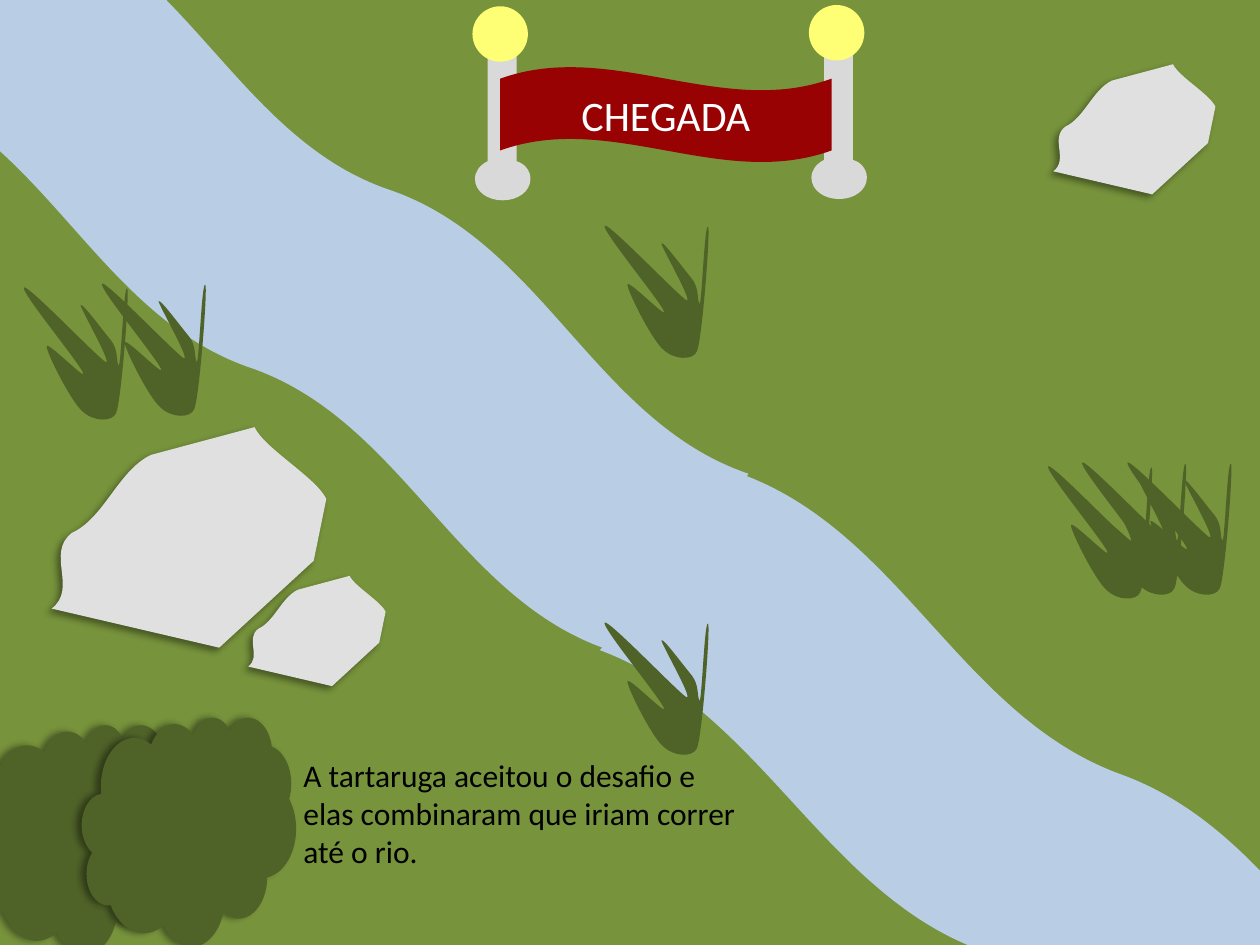
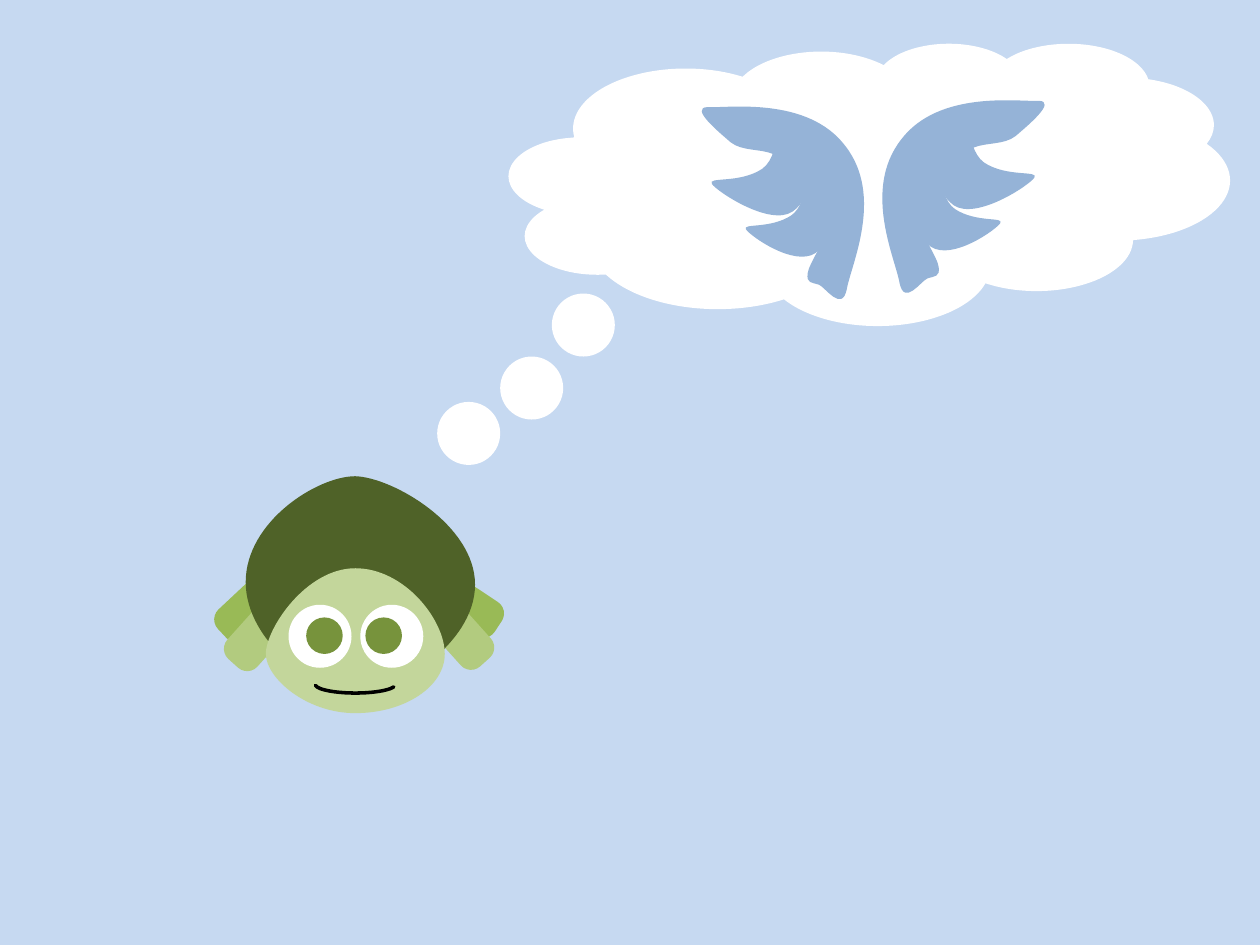
from lxml.etree import SubElement
from pptx import Presentation
from pptx.dml.color import RGBColor
from pptx.enum.shapes import MSO_SHAPE as SHAPE
from pptx.enum.text import MSO_ANCHOR as ANCHOR, MSO_AUTO_SIZE as AUTO_SIZE, PP_ALIGN as ALIGN
from pptx.oxml.ns import qn
from pptx.util import Inches, Pt

WIDTH, HEIGHT = Inches(10), Inches(7.5)
COLUMNS, ROWS = 10, 7.5
FONT = "Calibri"

MEADOW = RGBColor(0x77, 0x93, 0x3C)
WATER = RGBColor(0xB9, 0xCD, 0xE5)
LEAF = RGBColor(0x4F, 0x62, 0x28)
STONE = RGBColor(0xE0, 0xE0, 0xE0)
POST_GREY = RGBColor(0xD9, 0xD9, 0xD9)
LAMP_YELLOW = RGBColor(0xFF, 0xFF, 0x75)
BANNER_RED = RGBColor(0x98, 0x02, 0x02)
SKY = RGBColor(0xC6, 0xD9, 0xF1)
FEATHER = RGBColor(0x95, 0xB3, 0xD7)
UPPER_LIMB = RGBColor(0x99, 0xBA, 0x56)
LOWER_LIMB = RGBColor(0xB2, 0xCB, 0x7F)
SKIN = RGBColor(0xC3, 0xD6, 0x9B)
WHITE = RGBColor(0xFF, 0xFF, 0xFF)
BLACK = RGBColor(0, 0, 0)

# Outlines in grid units: M moves, L draws a line, C takes two handles and an end.
RIVER = """M 1.32,0 C 1.87,.56 2.32,1.25 3.1,1.51 4.31,1.93 4.73,3.35 5.94,3.76
    L 5.93,3.78 C 7.16,4.26 7.64,5.68 8.88,6.14 9.33,6.3 9.68,6.58 10,6.91
    L 10,7.5 7.68,7.5 C 6.5,7 6,5.62 4.76,5.16 L 4.78,5.14
    C 3.61,4.71 3.18,3.33 1.99,2.92 1.11,2.62 .65,1.79 0,1.2 L 0,0"""
POST = """M .12,.34 L .35,.34 .35,1.23 C .42,1.25 .46,1.31 .46,1.37
    .46,1.47 .36,1.54 .24,1.54 .12,1.54 .02,1.47 .02,1.37 .02,1.31 .06,1.26 .12,1.23"""
ROCK = """M 2.08,1.06 L 1.33,1.75 0,1.44 C .21,1.28 -.05,1 .16,.84
    .42,.72 .53,.34 .79,.22 L 1.61,0 C 1.69,.17 2.1,.4 2.18,.57"""
GRASS = """M .18,.47 C .18,.42 .5,.75 .47,.68 .44,.6 -.04,.02 0,0
    .04,-.01 .5,.47 .63,.58 .75,.69 .43,.14 .45,.14 .47,.13 .63,.35 .69,.42
    .75,.5 .73,.57 .75,.62 .77,.66 .79,-.02 .82,.01 .84,.04 .77,.93 .73,1
    .7,1.07 .55,1.07 .46,.98 .37,.9 .18,.52 .18,.47"""
SHELL = """M 1.95,4.62 C 1.95,4.14 2.52,3.78 2.82,3.78 3.12,3.79 3.77,4.17 3.77,4.64
    3.77,5.12 3.12,5.51 2.82,5.51 2.52,5.5 1.95,5.1 1.95,4.62"""
HEAD = """M 2.11,5.19 C 2.11,4.99 2.43,4.51 2.82,4.51 3.21,4.51 3.53,4.92 3.53,5.19
    3.53,5.45 3.21,5.66 2.82,5.66 2.43,5.66 2.11,5.38 2.11,5.19"""
# The left wing, measured from the midline between both wings.
WING = (
    """M -.55,.54 C -.62,.44 -.71,.41 -.8,.37 -.9,.33 -1.04,.35 -1.13,.28
    -1.21,.21 -1.47,0 -1.31,0 -1.16,.01 -.52,-.09 -.22,.31 .09,.71 -.18,1.26 -.21,1.45
    -.25,1.63 -.38,1.43 -.43,1.41 -.49,1.39 -.53,1.4 -.52,1.32
    -.51,1.24 -.38,1.07 -.38,.97 -.39,.87 -.48,.64 -.55,.54""",
    """M -1.28,.61 C -1.32,.55 -1.06,.61 -.88,.49 -.7,.36 -.8,-.09 -.63,.15
    -.45,.4 -.46,.7 -.64,.83 -.82,.95 -1.24,.67 -1.28,.61""",
    """M -1.01,.97 C -1.04,.92 -.82,.97 -.65,.86 -.49,.75 -.55,.36 -.41,.58
    -.27,.79 -.3,1.05 -.46,1.16 -.63,1.27 -.98,1.02 -1.01,.97""",
)
TAGS = {"M": ("a:moveTo", 1), "L": ("a:lnTo", 1), "C": ("a:cubicBezTo", 3)}


def col(n):
    return round(WIDTH * n / COLUMNS)


def row(n):
    return round(HEIGHT * n / ROWS)


def outline_steps(outline, origin, scale):
    """Return (command, points) steps in slide lengths."""
    steps, command, points = [], "M", []
    for word in outline.split():
        if word in TAGS:
            command = word
            continue
        x, y = map(float, word.split(","))
        points.append((col(origin[0] + x * scale[0]), row(origin[1] + y * scale[1])))
        if len(points) == TAGS[command][1]:
            steps.append((command, points))
            points = []
    return steps


def trace(steps, parts=12):
    """Return points that lie on the outline itself, which give its true bounds."""
    traced = []
    for command, points in steps:
        if command != "C":
            traced += points
            continue
        corners = [traced[-1], *points]
        for t in (i / parts for i in range(1, parts + 1)):
            weights = (1 - t) ** 3, 3 * t * (1 - t) ** 2, 3 * t * t * (1 - t), t ** 3
            traced.append(tuple(round(sum(w * p[axis] for w, p in zip(weights, corners)))
                                for axis in (0, 1)))
    return traced


class Scene:
    def __init__(self, deck):
        self.deck = deck

    def new_slide(self, background):
        self.slide = self.deck.slides.add_slide(self.deck.slide_layouts[6])
        fill = self.slide.background.fill
        fill.solid()
        fill.fore_color.rgb = background
        self.ungroup()

    def group(self):
        self.shapes = self.slide.shapes.add_group_shape().shapes

    def ungroup(self):
        self.shapes = self.slide.shapes

    def paint(self, shape, color):
        shape.shadow.inherit = False
        shape.fill.solid()
        shape.fill.fore_color.rgb = color
        shape.line.fill.background()
        return shape

    def preset(self, kind, x, y, w, h, color, turn=0, adjust=()):
        shape = self.shapes.add_shape(kind, col(x), row(y), col(w), row(h))
        shape.rotation = turn
        for i, value in enumerate(adjust):
            shape.adjustments[i] = value
        return self.paint(shape, color)

    def circle(self, x, y, size, color):
        return self.preset(SHAPE.OVAL, x, y, size, size, color)

    def outline(self, outline, color, origin=(0, 0), scale=(1, 1)):
        """Draw a freeform whose curves stay editable Bézier segments."""
        steps = outline_steps(outline, origin, scale)
        start, *others = trace(steps)
        builder = self.shapes.build_freeform(*start)
        builder.add_line_segments(others, close=True)
        shape = builder.convert_to_shape()
        curve = shape._element.find(".//" + qn("a:path"))
        for child in list(curve):
            curve.remove(child)
        for command, points in steps:
            segment = SubElement(curve, qn(TAGS[command][0]))
            for x, y in points:
                SubElement(segment, qn("a:pt"), x=str(x - shape.left), y=str(y - shape.top))
        SubElement(curve, qn("a:close"))
        return self.paint(shape, color)

    def cast_shadow(self, shape, angle):
        effects = shape._element.spPr.find(qn("a:effectLst"))
        shadow = SubElement(effects, qn("a:outerShdw"), blurRad=str(Pt(4)), dist=str(Pt(3)),
                            dir=str(angle * 60000), algn="ctr", rotWithShape="0")
        black = SubElement(shadow, qn("a:srgbClr"), val=str(BLACK))
        SubElement(black, qn("a:alpha"), val="40000")

    def add_words(self, frame, words, size, color, align=ALIGN.LEFT):
        frame.word_wrap = True
        paragraph = frame.paragraphs[0]
        paragraph.alignment = align
        run = paragraph.add_run()
        run.text = words
        run.font.name = FONT
        run.font.size = Pt(size)
        run.font.color.rgb = color

    def text(self, x, y, w, h, words, size, color):
        frame = self.shapes.add_textbox(col(x), row(y), col(w), row(h)).text_frame
        self.add_words(frame, words, size, color)
        frame.auto_size = AUTO_SIZE.SHAPE_TO_FIT_TEXT


def draw_finish_line(scene):
    scene.group()
    for x, y in ((6.42, .04), (3.75, .05)):
        scene.outline(POST, POST_GREY, (x, y))
        scene.circle(x, y, .44, LAMP_YELLOW)
    banner = scene.preset(SHAPE.WAVE, 3.97, .53, 2.63, .76, BANNER_RED)
    banner.text_frame.vertical_anchor = ANCHOR.MIDDLE
    scene.add_words(banner.text_frame, "CHEGADA", 24, WHITE, ALIGN.CENTER)
    scene.ungroup()


def draw_race(scene):
    scene.new_slide(MEADOW)
    scene.outline(RIVER, WATER)
    draw_finish_line(scene)
    for x, y, size in ((.41, 3.39, 1), (1.97, 4.57, .5), (8.36, .51, .59)):
        rock = scene.outline(ROCK, STONE, (x, y), (size, size))
        scene.cast_shadow(rock, 135)
    for x, y in ((-.2, 5.75), (.65, 5.69)):
        bush = scene.preset(SHAPE.CLOUD, x, y, 1.7, 1.82, LEAF)
        scene.cast_shadow(bush, 180)
    for tuft in ((8.59, 3.67), (8.32, 3.7), (8.95, 3.67), (.19, 2.28),
                 (.81, 2.25), (4.8, 4.94), (4.8, 1.79)):
        scene.outline(GRASS, LEAF, tuft)
    scene.text(2.31, 5.95, 3.7, 1.31,
               "A tartaruga aceitou o desafio e elas combinaram que iriam correr até o rio.",
               18, BLACK)


def draw_turtle(scene):
    scene.group()
    for x, y, turn, color in ((3.45, 4.66, 33.5, UPPER_LIMB), (1.69, 4.68, 316.8, UPPER_LIMB),
                              (3.39, 4.89, 48.1, LOWER_LIMB), (1.76, 4.9, 311.9, LOWER_LIMB)):
        scene.preset(SHAPE.ROUNDED_RECTANGLE, x, y, .55, .32, color, turn, [.34])
    scene.outline(SHELL, LEAF)
    scene.outline(HEAD, SKIN)
    for x in (2.29, 2.86):
        scene.circle(x, 4.8, .5, WHITE)
    for x in (2.43, 2.9):
        scene.circle(x, 4.9, .29, MEADOW)
    smile = scene.preset(SHAPE.BLOCK_ARC, 2.5, 5.36, .64, .14, BLACK, 180, [110.41, 214.97, 0])
    smile.line.color.rgb = BLACK
    smile.line.width = Pt(2)
    scene.ungroup()


def draw_dream(scene):
    scene.new_slide(SKY)
    draw_turtle(scene)
    for x, y in ((3.47, 3.19), (3.97, 2.83), (4.38, 2.33)):
        scene.circle(x, y, .5, WHITE)
    scene.preset(SHAPE.CLOUD, 4.04, .34, 5.72, 2.24, WHITE)
    for top, side in ((.85, 1), (.8, -1)):
        scene.group()
        for feather in WING:
            scene.outline(feather, FEATHER, (6.93, top), (side, 1))
    scene.ungroup()


def main():
    deck = Presentation()
    deck.slide_width, deck.slide_height = WIDTH, HEIGHT
    scene = Scene(deck)
    draw_race(scene)
    draw_dream(scene)
    deck.save("out.pptx")


if __name__ == "__main__":
    main()
